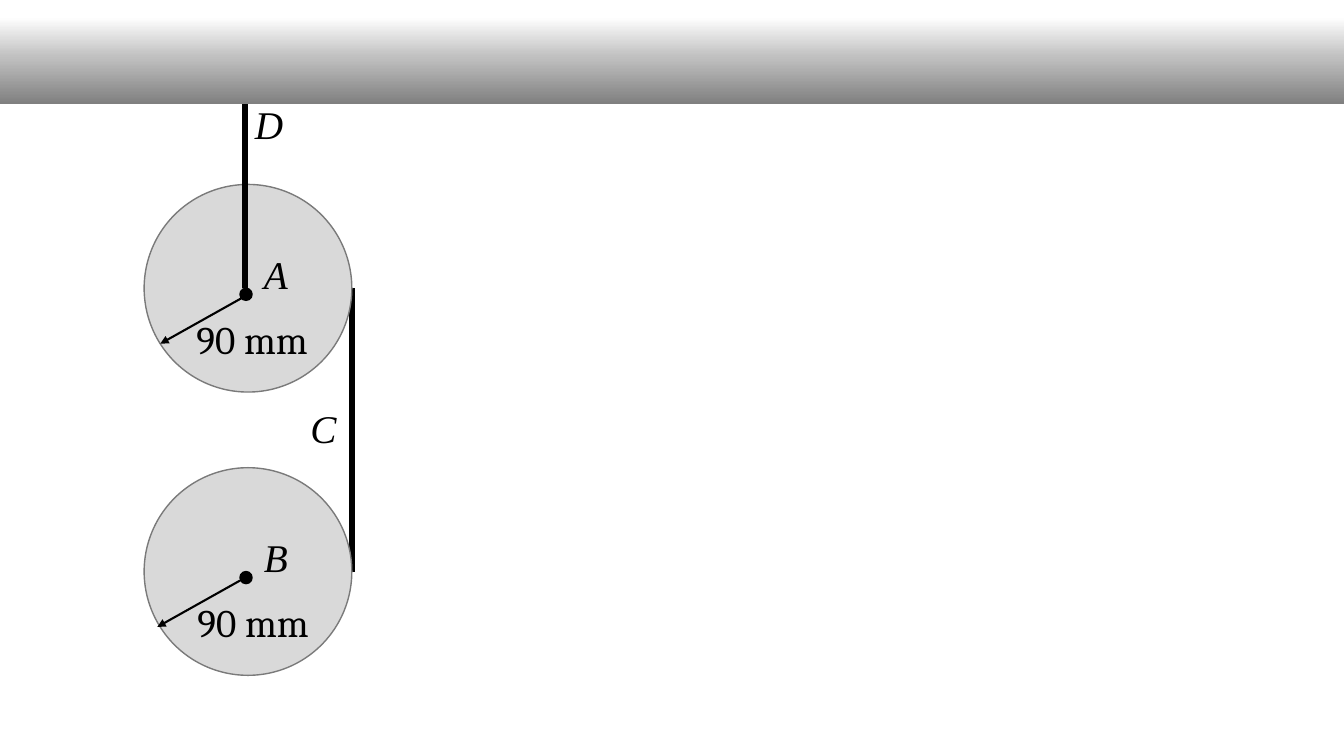
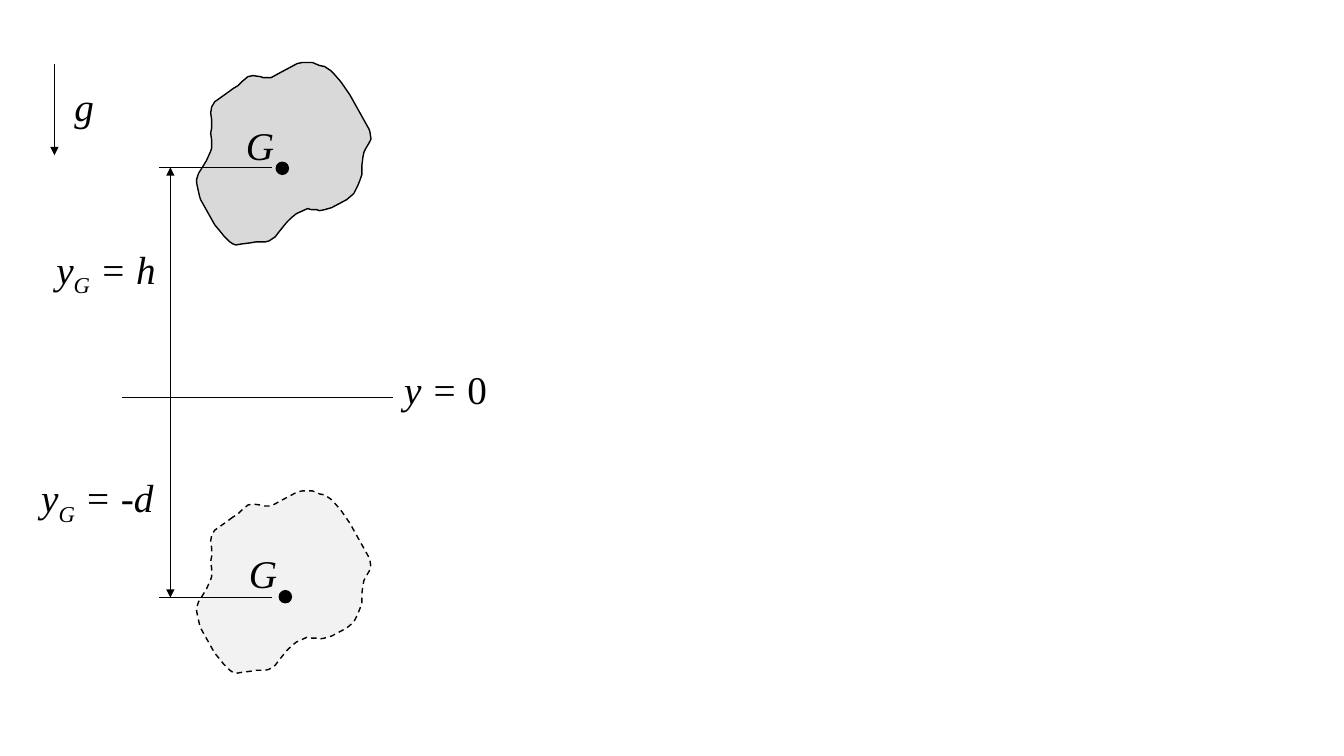
from dataclasses import dataclass

import lxml.etree
import pptx
import pptx.dml.color
import pptx.enum.dml
import pptx.enum.shapes
import pptx.enum.text
import pptx.oxml
import pptx.oxml.ns
import pptx.util

PX = 9144
WIDE, HIGH = 1333, 750
INK = {
    "black": "000000",
    "disc": "D9D9D9",
    "rim": "7A7A7A",
    "pale": "F2F2F2",
    "white": "FFFFFF",
    "mid": "BFBFBF",
    "dark": "808080",
}
SERIF, ROMAN = "Cambria", "Times New Roman"
SIZE = 28
DOT = 12
DROP = 425
BLOB = [
    (231, 88), (227, 91), (213, 101), (210, 106), (209, 112), (210, 119),
    (210, 127), (209, 132), (210, 139), (210, 147), (209, 150), (205, 159),
    (202, 164), (197, 172), (195, 178), (195, 181), (196, 186), (198, 195),
    (199, 198), (213, 223), (218, 229), (222, 234), (228, 240), (231, 242),
    (234, 243), (240, 242), (248, 241), (254, 240), (263, 240), (267, 239),
    (273, 235), (276, 231), (280, 226), (285, 220), (289, 216), (294, 212),
    (305, 207), (309, 208), (314, 208), (317, 209), (322, 208), (329, 206),
    (344, 198), (351, 192), (355, 184), (357, 179), (359, 173), (359, 164),
    (360, 156), (361, 151), (363, 147), (366, 142), (368, 138), (367, 131),
    (366, 128), (347, 94), (338, 81), (331, 73), (328, 70), (322, 66),
    (317, 65), (310, 62), (300, 62), (295, 63), (280, 71), (269, 77),
    (261, 77), (258, 76), (251, 75), (246, 76), (240, 81), (236, 85),
]


@dataclass(frozen=True)
class Run:
    text: str
    slant: bool = True
    base: int = 0
    font: str = ROMAN


@dataclass(frozen=True)
class Wheel:
    name: str
    top: int
    tip: int
    note: int


@dataclass(frozen=True)
class Body:
    drop: int
    fill: str
    dash: bool
    dot: tuple[int, int]


@dataclass(frozen=True)
class Gauge:
    level: int
    left: int
    top: int
    width: int
    value: str


WHEELS = [Wheel("B", 464, 156, 186), Wheel("A", 183, 159, 185)]
BODIES = [
    Body(0, "disc", False, (274, 161)),
    Body(DROP, "pale", True, (277, 586)),
]
GAUGES = [Gauge(166, 46, 238, 122, "h"), Gauge(593, 31, 465, 135, "-d")]


def emu(*vals: int) -> list[int]:
    return [val * PX for val in vals]


def tint(name: str) -> pptx.dml.color.RGBColor:
    return pptx.dml.color.RGBColor.from_string(INK[name])


def paint(shape, fill: str, edge: str) -> None:
    shape.shadow.inherit = False
    shape.fill.solid()
    shape.fill.fore_color.rgb = tint(fill)
    shape.line.color.rgb = tint(edge)
    shape.line.width = pptx.util.Pt(1)


def disc(slide, left: int, top: int, size: int, fill: str, edge: str) -> None:
    kind = pptx.enum.shapes.MSO_SHAPE.OVAL
    paint(slide.shapes.add_shape(kind, *emu(left, top, size, size)), fill, edge)


def line(slide, start: tuple[int, int], end: tuple[int, int],
         width: float = 0.5, arrow: bool = False) -> None:
    kind = pptx.enum.shapes.MSO_CONNECTOR.STRAIGHT
    link = slide.shapes.add_connector(kind, *emu(*start, *end))
    link.line.color.rgb = tint("black")
    link.line.width = pptx.util.Pt(width)
    if arrow:
        tail = lxml.etree.SubElement(
            link.line._get_or_add_ln(), pptx.oxml.ns.qn("a:tailEnd"))
        tail.set("type", "triangle")
    lxml.etree.SubElement(
        link._element.spPr, pptx.oxml.ns.qn("a:effectLst"))


def label(slide, left: int, top: int, runs: list[Run],
          width: int = 50, high: int = 48, wrap: bool = True) -> None:
    frame = slide.shapes.add_textbox(*emu(left, top, width, high)).text_frame
    frame.word_wrap = wrap
    if high > 48:
        frame.auto_size = pptx.enum.text.MSO_AUTO_SIZE.SHAPE_TO_FIT_TEXT
    for item in runs:
        run = frame.paragraphs[0].add_run()
        run.text = item.text
        run.font.name = item.font
        run.font.size = pptx.util.Pt(SIZE)
        run.font.italic = item.slant
        run.font.color.rgb = tint("black")
        if item.base:
            run._r.get_or_add_rPr().set("baseline", str(item.base * 1000))


def roof(slide) -> None:
    kind = pptx.enum.shapes.MSO_SHAPE.RECTANGLE
    band = slide.shapes.add_shape(kind, *emu(0, 17, WIDE, 86))
    band.shadow.inherit = False
    band.line.fill.background()
    stops = "".join(
        f'<a:gs pos="{pos * 1000}"><a:srgbClr val="{INK[name]}"/></a:gs>'
        for pos, name in [(0, "white"), (47, "mid"), (100, "dark")])
    grad = pptx.oxml.parse_xml(
        f'<a:gradFill {pptx.oxml.ns.nsdecls("a")} rotWithShape="1">'
        f'<a:gsLst>{stops}</a:gsLst><a:lin ang="5400000" scaled="0"/>'
        '</a:gradFill>')
    band._element.spPr.find(pptx.oxml.ns.qn("a:prstGeom")).addnext(grad)


def wheel(slide, item: Wheel) -> None:
    top, tip = item.top, item.tip
    disc(slide, 143, top, 206, "disc", "rim")
    label(slide, 252, top + 60, [Run(item.name)])
    disc(slide, 238, top + 103, DOT, "black", "black")
    line(slide, (tip + 82, top + 112), (tip, top + 158), 1.5, True)
    label(slide, item.note, top + 125, [Run("90 mm", False, font=SERIF)],
          162, 57)


def body(slide, item: Body) -> None:
    spots = [(x, y + item.drop) for x, y in BLOB]
    pen = slide.shapes.build_freeform(*spots[0], scale=PX)
    pen.add_line_segments(spots[1:], close=True)
    blob = pen.convert_to_shape()
    paint(blob, item.fill, "black")
    if item.dash:
        blob.line.dash_style = pptx.enum.dml.MSO_LINE.DASH
    left, top = item.dot
    label(slide, left - 40, top - 46, [Run("G")])
    disc(slide, left, top, DOT, "black", "black")


def gauge(slide, item: Gauge) -> None:
    line(slide, (169, 394), (169, item.level), arrow=True)
    line(slide, (158, item.level), (270, item.level))
    runs = [Run("y"), Run("G", base=-25), Run(f" = {item.value}")]
    label(slide, item.left, item.top, runs, item.width, 57, False)


def pulleys(slide) -> None:
    roof(slide)
    line(slide, (349, 567), (349, 286), 4)
    label(slide, 298, 396, [Run("C")])
    for item in WHEELS:
        wheel(slide, item)
    line(slide, (243, 286), (243, 103), 4)
    label(slide, 243, 95, [Run("D")])


def falling(slide) -> None:
    for item in BODIES:
        body(slide, item)
    line(slide, (390, 394), (121, 394))
    label(slide, 391, 358, [Run("y = "), Run("0", False)], 103, 57, False)
    for item in GAUGES:
        gauge(slide, item)
    line(slide, (54, 64), (54, 154), arrow=True)
    label(slide, 64, 77, [Run("g")], 40, 57, False)


def main() -> None:
    deck = pptx.Presentation()
    deck.slide_width, deck.slide_height = emu(WIDE, HIGH)
    for draw in (pulleys, falling):
        draw(deck.slides.add_slide(deck.slide_layouts[6]))
    deck.save("out.pptx")


if __name__ == "__main__":
    main()
